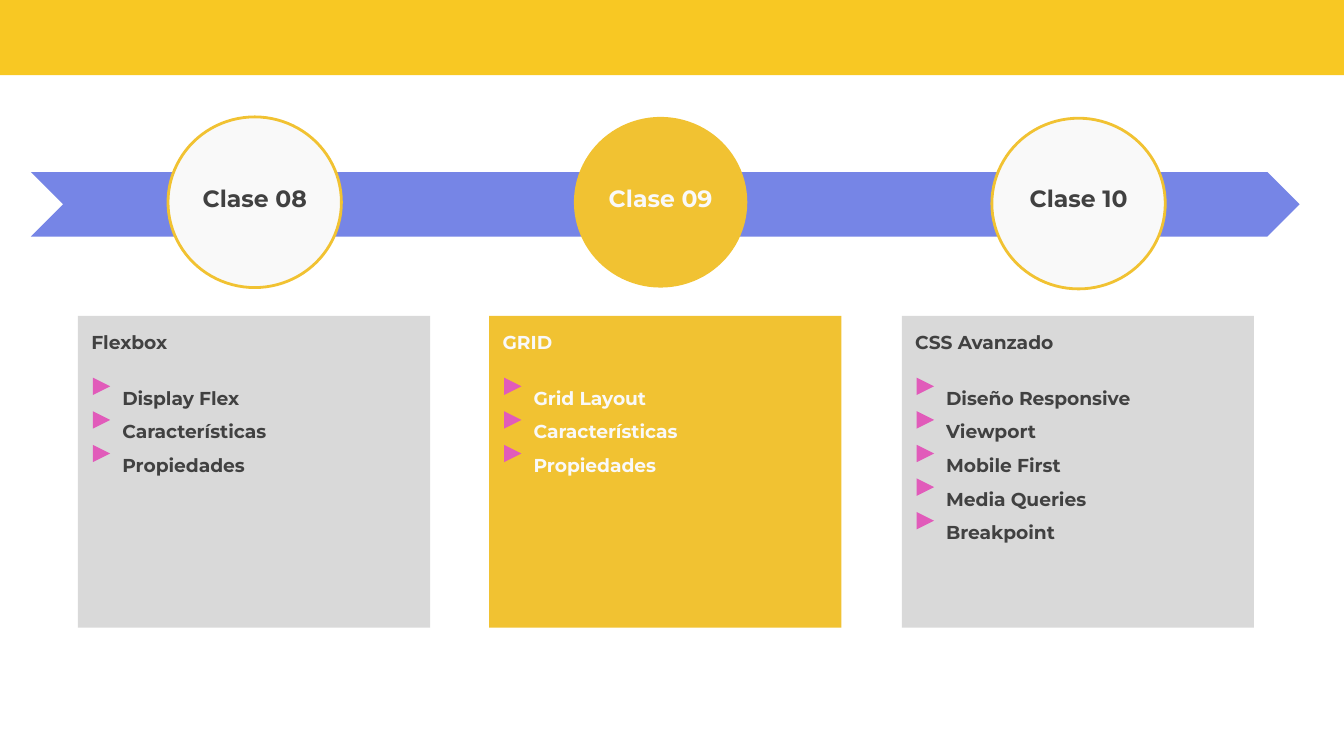
import pptx
import pptx.util
import pptx.dml.color
import pptx.enum.shapes
import pptx.enum.text
import pptx.oxml
import pptx.oxml.ns

Inches = pptx.util.Inches
Pt = pptx.util.Pt
SHAPE = pptx.enum.shapes.MSO_SHAPE
ALIGN = pptx.enum.text.PP_ALIGN

YELLOW, GOLD, BLUE, PINK = "F8C823", "F1C232", "7685E6", "E15BBA"
GREY, LIGHT, DARK = "D9D9D9", "F9F9F9", "414141"

CLASSES = [
    {"name": "Clase 08", "topic": "Flexbox", "current": False,
     "left": 0.58, "circle": (1.25, 0.87),
     "items": ["Display Flex", "Características", "Propiedades"]},
    {"name": "Clase 09", "topic": "GRID", "current": True,
     "left": 3.64, "circle": (4.27, 0.87),
     "items": ["Grid Layout", "Características", "Propiedades"]},
    {"name": "Clase 10", "topic": "CSS Avanzado", "current": False,
     "left": 6.71, "circle": (7.38, 0.88),
     "items": ["Diseño Responsive", "Viewport", "Mobile First",
               "Media Queries", "Breakpoint"]},
]
CIRCLE_WIDTH, CIRCLE_HEIGHT = 1.29, 1.27
LABEL_TOP, LABEL_WIDTH, LABEL_HEIGHT = 1.27, 1.19, 0.33
CARD_TOP, CARD_WIDTH, CARD_HEIGHT = 2.35, 2.62, 2.32
MARKER_TOP, MARKER_STEP, MARKER_SIZE = 2.81, 0.25, 0.13


def color(hex_string):
    return pptx.dml.color.RGBColor.from_string(hex_string)


def add_figure(kind, left, top, width, height, fill, line=None):
    shape = slide.shapes.add_shape(
        kind, Inches(left), Inches(top), Inches(width), Inches(height))
    shape.shadow.inherit = False
    shape.fill.solid()
    shape.fill.fore_color.rgb = color(fill)
    if line:
        shape.line.color.rgb = color(line)
        shape.line.width = Pt(1.5)
    else:
        shape.line.fill.background()
    return shape


def place_frame(shape, left, top, width, height):
    """Move a text holder above the drawn shapes and return its text frame."""
    shape.element.getparent().append(shape.element)
    shape.left, shape.top = Inches(left), Inches(top)
    shape.width, shape.height = Inches(width), Inches(height)
    frame = shape.text_frame
    frame.word_wrap = True
    frame.auto_size = pptx.enum.text.MSO_AUTO_SIZE.NONE
    frame.vertical_anchor = pptx.enum.text.MSO_ANCHOR.TOP
    frame.margin_left = frame.margin_right = Inches(0.1)
    frame.margin_top = frame.margin_bottom = Inches(0.1)
    return frame


def write(paragraph, text, size=10, fill=DARK, align=ALIGN.LEFT,
          indent=0, spacing=1, before=0):
    properties = paragraph._p.get_or_add_pPr()
    properties.set("marL", str(Inches(indent)))
    properties.set("indent", "0")
    paragraph.alignment = align
    paragraph.line_spacing = spacing
    paragraph.space_before = Pt(before)
    paragraph.space_after = Pt(0)
    properties.append(pptx.oxml.parse_xml(
        "<a:buNone %s/>" % pptx.oxml.ns.nsdecls("a")))
    run = paragraph.add_run()
    run.text = text
    run.font.name = "Montserrat"
    run.font.size = Pt(size)
    run.font.bold = True
    run.font.color.rgb = color(fill)


presentation = pptx.Presentation()
presentation.slide_width = Inches(10)
presentation.slide_height = presentation.slide_width * 9 // 16
slide = presentation.slides.add_slide(presentation.slide_layouts[4])
title, *bodies = slide.placeholders
for spare in bodies[len(CLASSES):]:
    spare.element.getparent().remove(spare.element)

add_figure(SHAPE.RECTANGLE, -0.01, -0.05, 10.03, 0.61, YELLOW)
add_figure(SHAPE.CHEVRON, 0.23, 1.28, 9.44, 0.48, BLUE)

for lesson, body in zip(CLASSES, bodies):
    current, left = lesson["current"], lesson["left"]
    text_color = LIGHT if current else DARK

    circle_left, circle_top = lesson["circle"]
    add_figure(SHAPE.OVAL, circle_left, circle_top, CIRCLE_WIDTH, CIRCLE_HEIGHT,
               GOLD if current else LIGHT, None if current else GOLD)
    label = title if current else slide.shapes.add_textbox(0, 0, 0, 0)
    frame = place_frame(label, circle_left + (CIRCLE_WIDTH - LABEL_WIDTH) / 2,
                        LABEL_TOP, LABEL_WIDTH, LABEL_HEIGHT)
    write(frame.paragraphs[0], lesson["name"], size=12.6, fill=text_color,
          align=ALIGN.CENTER)

    add_figure(SHAPE.RECTANGLE, left, CARD_TOP, CARD_WIDTH, CARD_HEIGHT,
               GOLD if current else GREY)
    frame = place_frame(body, left, CARD_TOP + 0.01, CARD_WIDTH, CARD_HEIGHT)
    write(frame.paragraphs[0], lesson["topic"], fill=text_color)
    for row, item in enumerate(lesson["items"]):
        write(frame.add_paragraph(), item, fill=text_color, indent=0.23,
              spacing=1.5, before=0 if row else 12)
        marker = add_figure(SHAPE.ISOSCELES_TRIANGLE, left + 0.11,
                            MARKER_TOP + row * MARKER_STEP,
                            MARKER_SIZE, MARKER_SIZE, PINK)
        marker.rotation = 90

presentation.save("out.pptx")
